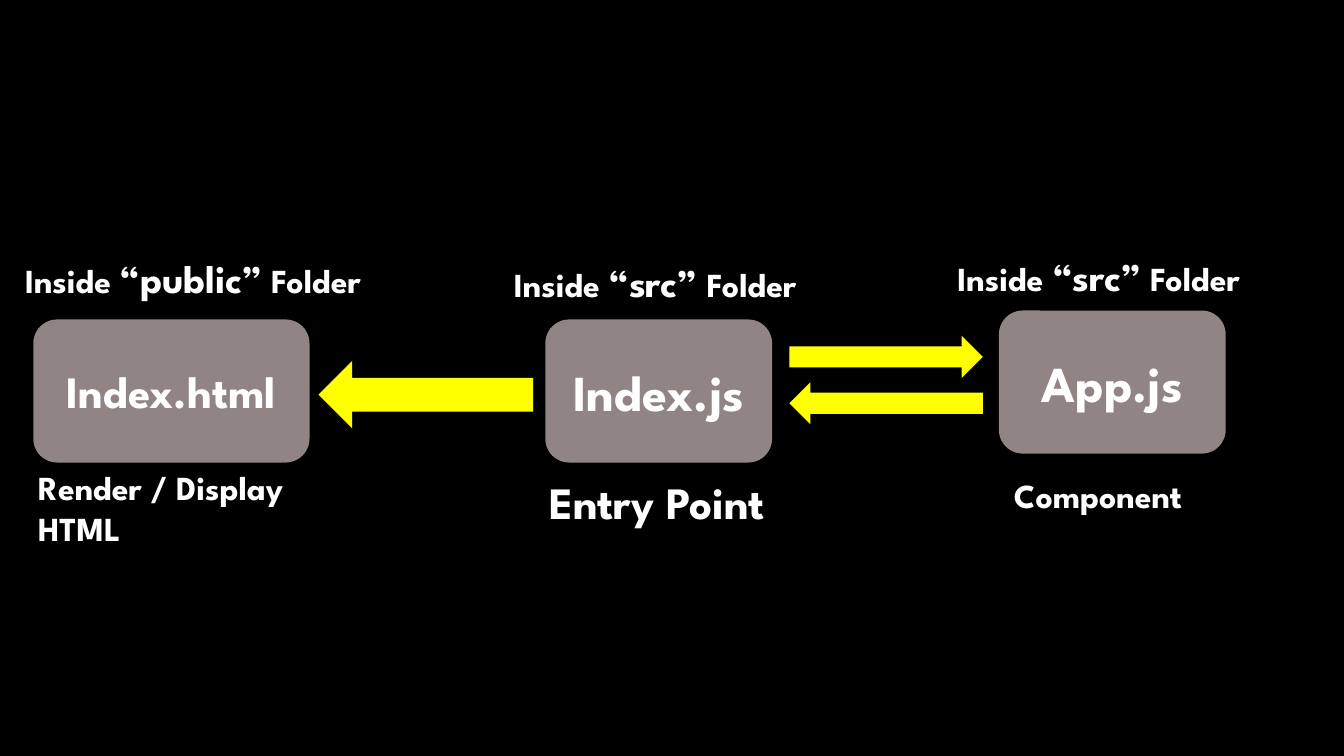
from pptx import Presentation
from pptx.dml.color import RGBColor
from pptx.enum import shapes, text
from pptx.util import Pt

BLACK = RGBColor(0x00, 0x00, 0x00)
WHITE = RGBColor(0xFF, 0xFF, 0xFF)
TAUPE = RGBColor(0x91, 0x84, 0x85)
YELLOW = RGBColor(0xFF, 0xFF, 0x00)
FONT = "League Spartan"
FILE_HEIGHT = 102.2
FOLDER_HEIGHT = 41

# name, size, (left, top, width)
FILES = [
    ("Index.html", 32, (23.8, 228.2, 197.3)),
    ("Index.js", 36, (389.5, 228.2, 162)),
    ("App.js", 36, (713.5, 221.8, 162)),
]
# folder, (left, top, width)
FOLDERS = [
    ("“public”", (10.8, 177.8, 283)),
    ("“src”", (360, 180.7, 236.9)),
    ("“src”", (676.8, 176.4, 236.9)),
]
# lines, size, (left, top, width, height)
ROLES = [
    (["Render / Display", "HTML"], 24, (20.2, 329.8, 208.1, 65.5)),
    (["Entry Point"], 32, (385.2, 335.5, 174.2, 46.1)),
    (["Component"], 24, (717.1, 335.5, 154.8, 36)),
]
# rotation, (left, top, width, height)
ARROWS = [
    (180, (227.5, 257.8, 153.4, 48.2)),
    (0, (563.8, 239.8, 138.2, 30.2)),
    (180, (563.8, 272.9, 138.2, 30.2)),
]


def add_filled(slide, preset, box, color):
    sp = slide.shapes.add_shape(preset, *map(Pt, box))
    sp.shadow.inherit = False
    sp.fill.solid()
    sp.fill.fore_color.rgb = color
    sp.line.fill.background()
    return sp


def write(sp, paragraphs, align):
    """Fill a shape with paragraphs, each a list of (text, size) runs."""
    tf = sp.text_frame
    tf.word_wrap = True
    tf.vertical_anchor = text.MSO_ANCHOR.MIDDLE
    for i, runs in enumerate(paragraphs):
        p = tf.add_paragraph() if i else tf.paragraphs[0]
        p.alignment = align
        for words, size in runs:
            r = p.add_run()
            r.text = words
            r.font.name = FONT
            r.font.size = Pt(size)
            r.font.bold = True
            r.font.color.rgb = WHITE


def add_label(slide, box, paragraphs):
    sp = slide.shapes.add_textbox(*map(Pt, box))
    write(sp, paragraphs, text.PP_ALIGN.LEFT)


def main():
    prs = Presentation()
    prs.slide_width, prs.slide_height = Pt(960), Pt(540)
    slide = prs.slides.add_slide(prs.slide_layouts[6])
    slide.background.fill.solid()
    slide.background.fill.fore_color.rgb = BLACK

    for name, size, place in FILES:
        sp = add_filled(slide, shapes.MSO_SHAPE.ROUNDED_RECTANGLE,
                        (*place, FILE_HEIGHT), TAUPE)
        write(sp, [[(name, size)]], text.PP_ALIGN.CENTER)
    for folder, place in FOLDERS:
        add_label(slide, (*place, FOLDER_HEIGHT),
                  [[("Inside ", 24), (folder, 28), (" Folder", 24)]])
    for lines, size, box in ROLES:
        add_label(slide, box, [[(line, size)] for line in lines])
    for rotation, box in ARROWS:
        sp = add_filled(slide, shapes.MSO_SHAPE.RIGHT_ARROW, box, YELLOW)
        sp.rotation = rotation

    prs.save("out.pptx")


if __name__ == "__main__":
    main()
